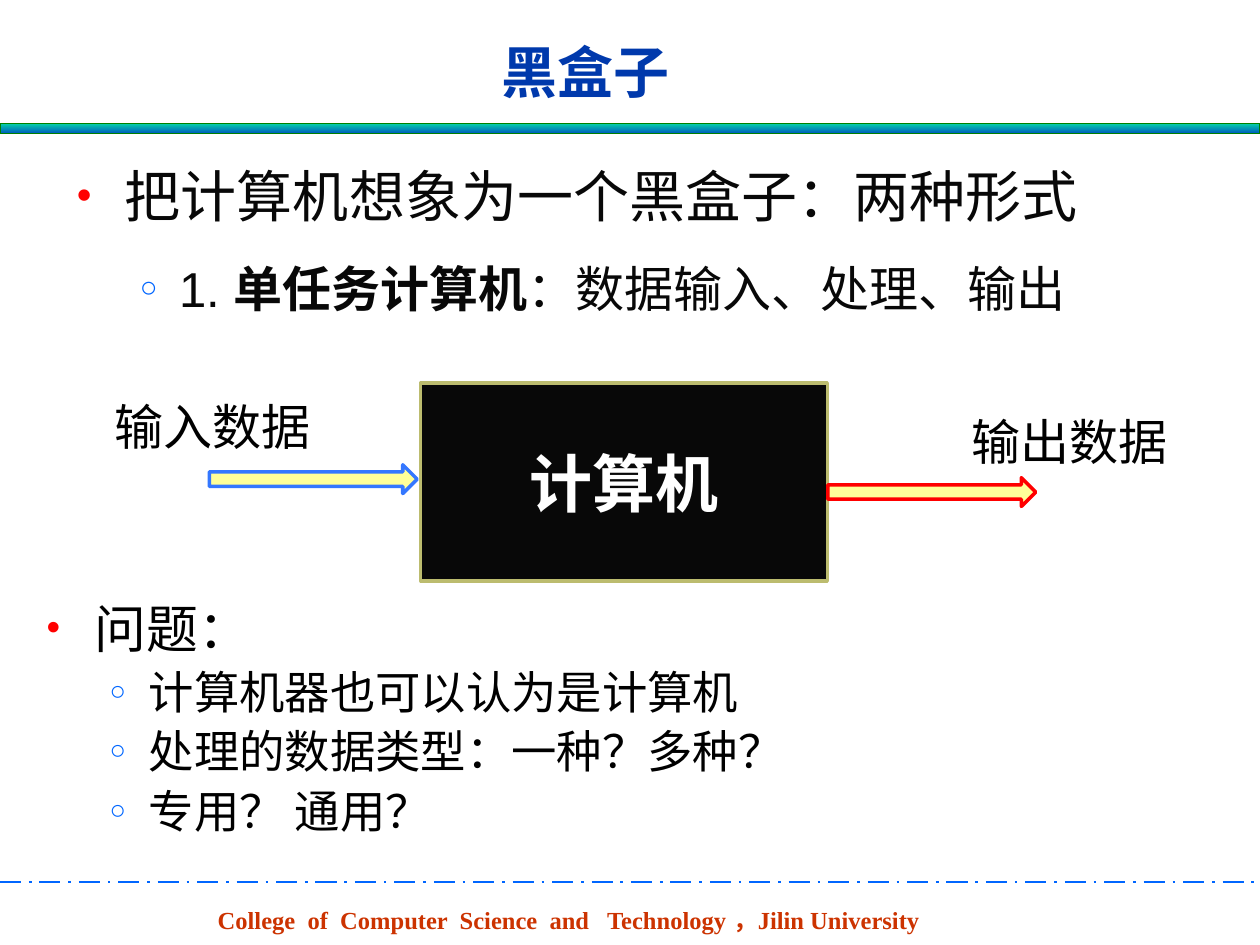
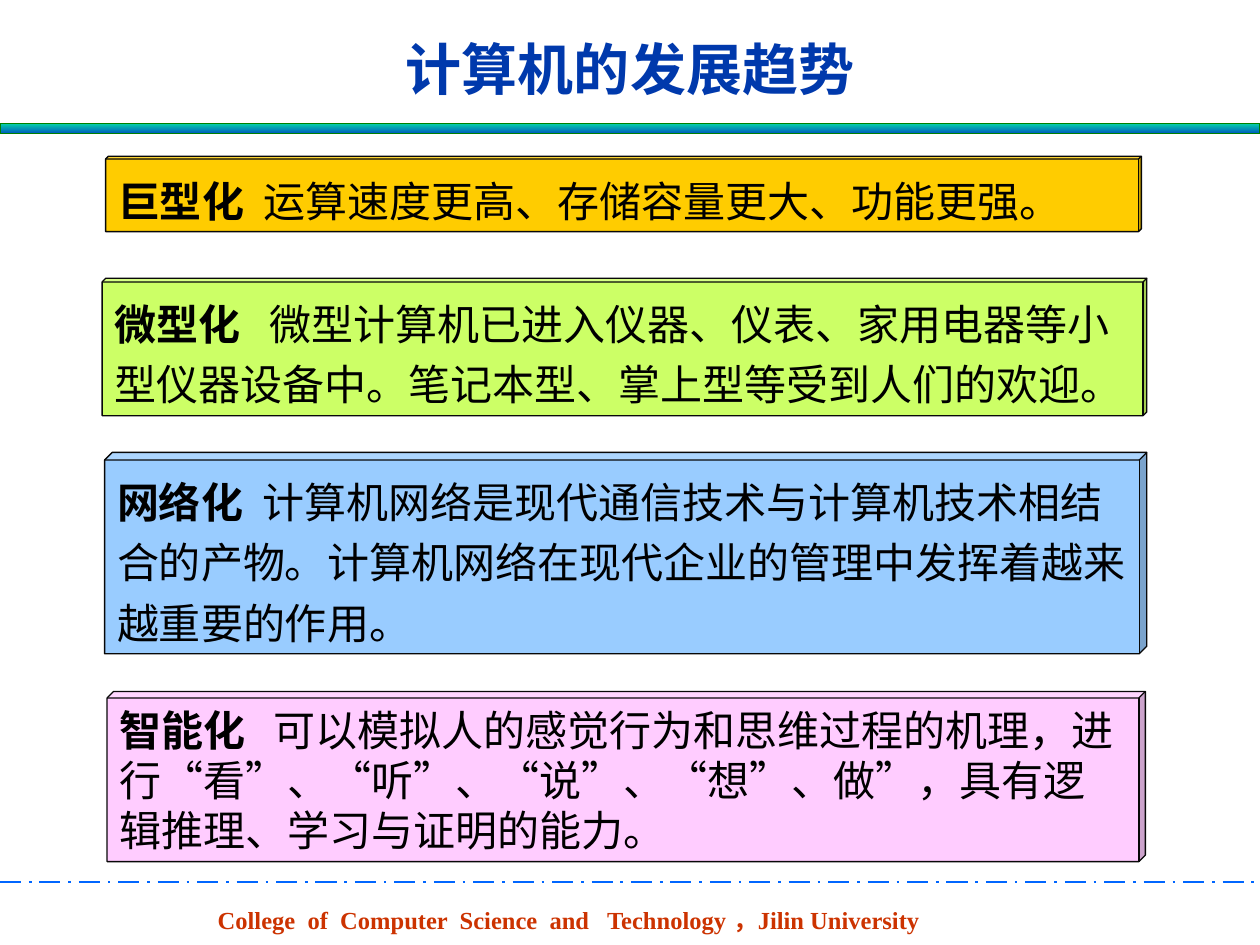
from dataclasses import dataclass
from typing import NamedTuple

from lxml import etree
from pptx import Presentation
from pptx.dml.color import RGBColor
from pptx.enum.dml import MSO_LINE
from pptx.enum.shapes import MSO_CONNECTOR, MSO_SHAPE
from pptx.enum.text import MSO_ANCHOR, PP_ALIGN
from pptx.oxml.ns import qn
from pptx.util import Cm, Pt

LEFT, CENTER, JUSTIFY = PP_ALIGN.LEFT, PP_ALIGN.CENTER, PP_ALIGN.JUSTIFY
TOP, MIDDLE = MSO_ANCHOR.TOP, MSO_ANCHOR.MIDDLE
RECTANGLE, ARROW, CUBE = MSO_SHAPE.RECTANGLE, MSO_SHAPE.RIGHT_ARROW, MSO_SHAPE.CUBE

COLORS = {
    "title": "0039AC", "footer": "CC3300", "rule": "0066FF",
    "band_top": "03D4A8", "band_bottom": "005CBF", "band_edge": "008000",
    "ink": "080808", "black": "000000", "white": "FFFFFF",
    "bullet": "FF0000", "sub_bullet": "0066FF",
    "box_edge": "BCBC6F", "arrow": "FFFF99", "input": "3477FF", "output": "FF0000",
    "orange": "FFCC00", "green": "CCFF66", "blue": "99CCFF", "pink": "FFCCFF",
}
SANS, SERIF, CJK = "Arial", "Times New Roman", "Noto Sans CJK SC"
LINE_HEIGHT = 1.2  # single line spacing, as a multiple of the text size
SLIDE_WIDTH, SLIDE_HEIGHT = 25.4, 19.05


class Area(NamedTuple):
    """Left, top, width and height in centimetres."""
    left: float
    top: float
    width: float
    height: float

    def lengths(self) -> list:
        return [Cm(value) for value in self]


class Span(NamedTuple):
    text: str
    bold: bool = False


class Bullet(NamedTuple):
    char: str
    color: str
    percent: int
    level: int
    margin: float
    hang: float


@dataclass
class Para:
    spans: list[Span]
    size: float
    font: str = CJK
    color: str = "black"
    align: PP_ALIGN = LEFT
    spacing: float = 1.0
    before: float = 0
    bullet: Bullet | None = None


@dataclass
class Trend:
    area: Area
    fill: str
    depth: float
    name: str
    text: str
    spacing: float = 1.2


DOT = Bullet("•", "bullet", 75, 0, 0.97, 0.97)
RING = Bullet("○", "sub_bullet", 60, 1, 2.06, 0.79)


def rgb(name: str) -> RGBColor:
    return RGBColor.from_string(COLORS[name])


def add_bullet(paragraph, bullet: Bullet) -> None:
    paragraph.level = bullet.level
    properties = paragraph._p.get_or_add_pPr()
    properties.set("marL", str(Cm(bullet.margin)))
    properties.set("indent", str(-Cm(bullet.hang)))
    color = etree.SubElement(properties, qn("a:buClr"))
    etree.SubElement(color, qn("a:srgbClr"), val=COLORS[bullet.color])
    etree.SubElement(properties, qn("a:buSzPct"), val=str(bullet.percent * 1000))
    etree.SubElement(properties, qn("a:buFont"), typeface=SANS)
    etree.SubElement(properties, qn("a:buChar"), char=bullet.char)


def write(shape, paras: list[Para], anchor=TOP, wrap: bool = True) -> None:
    frame = shape.text_frame
    frame.word_wrap = wrap
    frame.vertical_anchor = anchor
    for index, para in enumerate(paras):
        paragraph = frame.add_paragraph() if index else frame.paragraphs[0]
        if para.bullet:
            add_bullet(paragraph, para.bullet)
        paragraph.alignment = para.align
        paragraph.line_spacing = Pt(round(para.size * LINE_HEIGHT * para.spacing, 1))
        if para.before:
            paragraph.space_before = Pt(para.before)
        font = paragraph.font
        font.name, font.size = para.font, Pt(para.size)
        font.color.rgb = rgb(para.color)
        defaults = paragraph._p.pPr.find(qn("a:defRPr"))
        etree.SubElement(defaults, qn("a:ea"), typeface=CJK)
        same_weight = len({span.bold for span in para.spans}) == 1
        if same_weight:
            font.bold = para.spans[0].bold
        for span in para.spans:
            run = paragraph.add_run()
            run.text = span.text
            if not same_weight:
                run.font.bold = span.bold


def add_text(page, area: Area, paras: list[Para], anchor=TOP, wrap: bool = True) -> None:
    box = page.shapes.add_textbox(*area.lengths())
    write(box, paras, anchor, wrap)


def add_block(page, kind, area: Area, fill: str, edge: str, width: float):
    block = page.shapes.add_shape(kind, *area.lengths())
    block.shadow.inherit = False
    block.fill.solid()
    block.fill.fore_color.rgb = rgb(fill)
    block.line.color.rgb = rgb(edge)
    block.line.width = Pt(width)
    return block


def add_page(deck, title: str, title_area: Area):
    """Blank page with the shared footer, rule, band and title."""
    page = deck.slides.add_slide(deck.slide_layouts[6])
    footer = Span("College  of  Computer  Science  and   Technology ，Jilin University", True)
    add_text(page, Area(4.14, 18.11, 15.04, 0.86), [Para([footer], 14, SERIF, "footer")])

    rule = page.shapes.add_connector(
        MSO_CONNECTOR.STRAIGHT, Cm(0), Cm(17.78), Cm(SLIDE_WIDTH), Cm(17.78))
    rule.line.color.rgb = rgb("rule")
    rule.line.width = Pt(1.5)
    rule.line.dash_style = MSO_LINE.LONG_DASH_DOT
    etree.SubElement(rule._element.spPr, qn("a:effectLst"))

    band = add_block(page, RECTANGLE, Area(0, 2.49, SLIDE_WIDTH, 0.2),
                     "band_top", "band_edge", 0.75)
    band.fill.gradient()
    band.fill.gradient_angle = 270
    for stop, color in zip(band.fill.gradient_stops, ("band_top", "band_bottom")):
        stop.color.rgb = rgb(color)

    heading = Para([Span(title, True)], 32, color="title", align=CENTER)
    add_text(page, title_area, [heading], MIDDLE)
    return page


def build_black_box(deck) -> None:
    page = add_page(deck, "黑盒子", Area(3.5, 0.53, 16.61, 1.8))

    # Opening statement
    add_text(page, Area(1.3, 2.46, 22.61, 4.27), [
        Para([Span("把计算机想象为一个黑盒子：两种形式")], 32, SANS, "ink", JUSTIFY, 1.5,
             bullet=DOT),
        Para([Span("1. "), Span("单任务计算机", True), Span("：数据输入、处理、输出")],
             28, SANS, "ink", JUSTIFY, 1.5, bullet=RING),
    ])

    # Computer with its input and output
    computer = add_block(page, RECTANGLE, Area(8.48, 7.72, 8.2, 3.99), "ink", "box_edge", 2)
    write(computer, [Para([Span("计算机", True)], 36, SANS, "white", CENTER)], MIDDLE)
    for left, top, edge in ((4.22, 9.37, "input"), (16.69, 9.63, "output")):
        add_block(page, ARROW, Area(left, top, 4.19, 0.58), "arrow", edge, 2)
    for left, top, label in ((2.06, 7.87, "输入数据"), (19.33, 8.18, "输出数据")):
        add_text(page, Area(left, top, 4.45, 1.45), [Para([Span(label)], 28, SERIF)],
                 wrap=False)

    # Questions
    questions = ["计算机器也可以认为是计算机", "处理的数据类型：一种？多种？", "专用？ 通用？"]
    add_text(page, Area(0.69, 11.4, 22.61, 6.12), [
        Para([Span("问题：")], 29.6, SANS, align=JUSTIFY, spacing=1.4, bullet=DOT),
        *(Para([Span(question)], 25.9, SANS, align=JUSTIFY, spacing=0.9, before=6,
               bullet=RING) for question in questions),
    ])


TRENDS = [
    Trend(Area(2.13, 3.15, 20.88, 1.52), "orange", 0.038, "巨型化  ",
          "运算速度更高、存储容量更大、功能更强。"),
    Trend(Area(2.06, 5.61, 21.06, 2.77), "green", 0.027, "微型化   ",
          "微型计算机已进入仪器、仪表、家用电器等小型仪器设备中。"
          "笔记本型、掌上型等受到人们的欢迎。"),
    Trend(Area(2.11, 9.12, 21.01, 4.06), "blue", 0.038, "网络化  ",
          "计算机网络是现代通信技术与计算机技术相结合的产物。"
          "计算机网络在现代企业的管理中发挥着越来越重要的作用。"),
    Trend(Area(2.16, 13.94, 20.93, 3.43), "pink", 0.038, "智能化",
          "   可以模拟人的感觉行为和思维过程的机理，进行“看”、“听”、“说”、“想”、做”，"
          "具有逻辑推理、学习与证明的能力。", 1.0),
]


def build_trends(deck) -> None:
    page = add_page(deck, "计算机的发展趋势", Area(2.9, 0.53, 19.61, 1.68))
    for trend in TRENDS:
        cube = add_block(page, CUBE, trend.area, trend.fill, "ink", 0.75)
        cube.adjustments[0] = trend.depth
        spans = [Span(trend.name, True), Span(trend.text)]
        write(cube, [Para(spans, 24, spacing=trend.spacing)], MIDDLE)


def main() -> None:
    deck = Presentation()
    deck.slide_width, deck.slide_height = Cm(SLIDE_WIDTH), Cm(SLIDE_HEIGHT)
    build_black_box(deck)
    build_trends(deck)
    deck.save("out.pptx")


if __name__ == "__main__":
    main()
